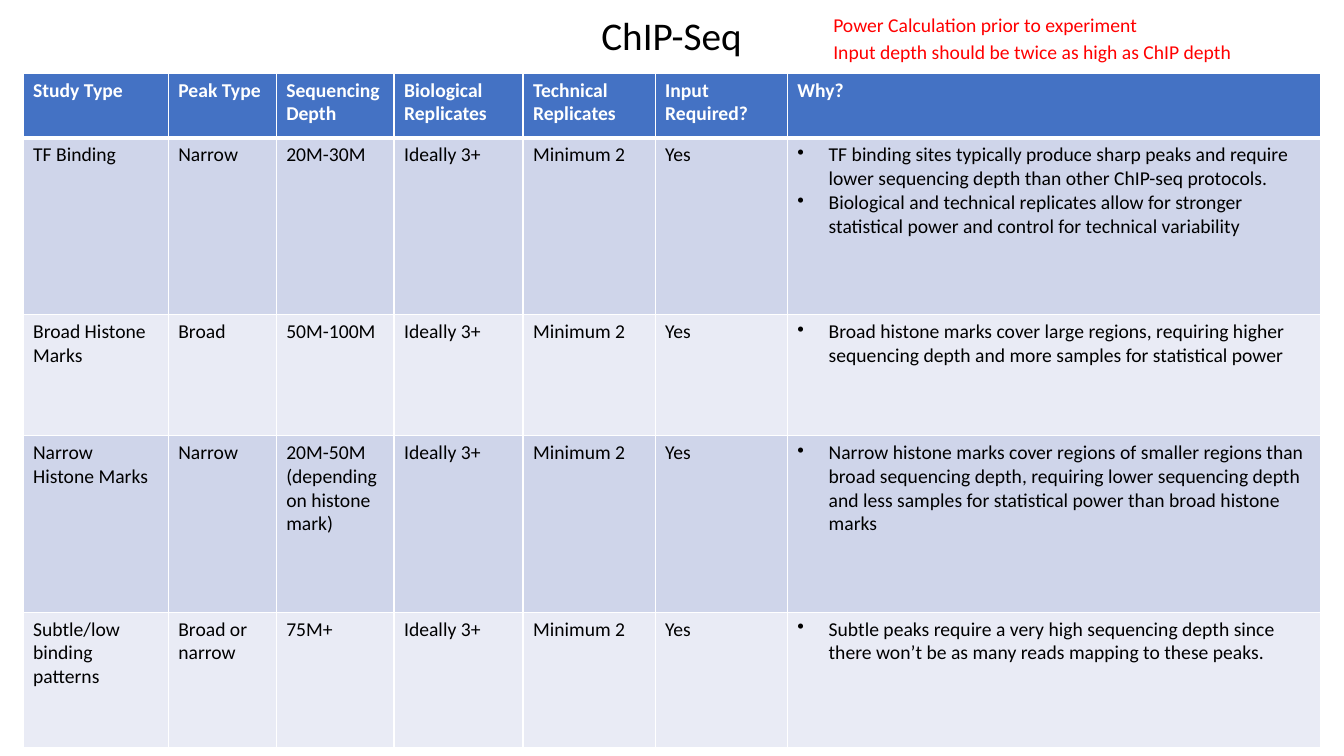
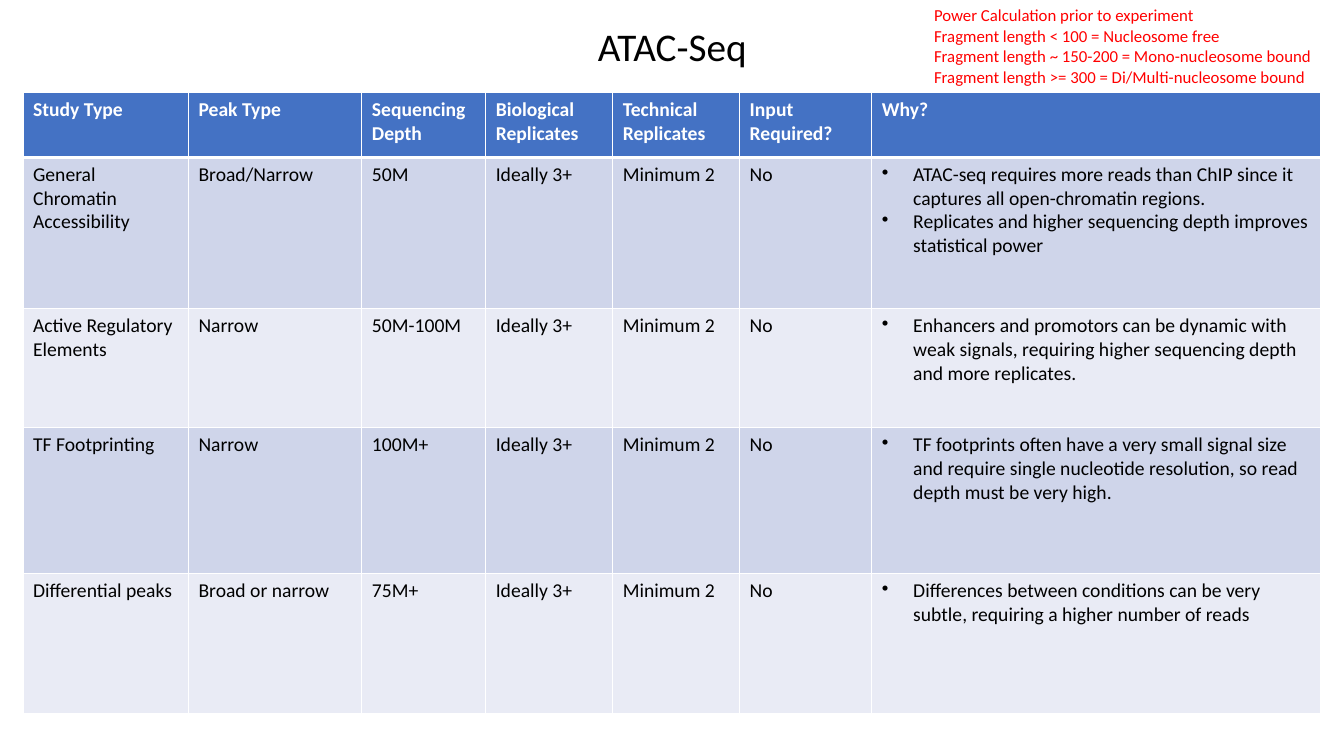
from dataclasses import dataclass

from lxml import etree
from pptx import Presentation
from pptx.dml.color import RGBColor
from pptx.enum.text import MSO_ANCHOR, MSO_AUTO_SIZE, PP_ALIGN
from pptx.oxml.ns import qn
from pptx.util import Cm, Pt

LEFT = PP_ALIGN.LEFT
CENTER = PP_ALIGN.CENTER
MIDDLE = MSO_ANCHOR.MIDDLE
NO_AUTOSIZE = MSO_AUTO_SIZE.NONE
GROW = MSO_AUTO_SIZE.SHAPE_TO_FIT_TEXT
TITLE_ONLY = 5


@dataclass(frozen=True)
class Theme:
    font: str = "Calibri"
    ink: str = "000000"
    white: str = "FFFFFF"
    alert: str = "FF0000"
    header: str = "4472C4"
    bands: tuple = ("CFD5EA", "E9EBF5")
    title_size: int = 28
    body_size: int = 14
    small_size: int = 12
    thin_line: int = 1
    thick_line: int = 3


HEADINGS = ["Study Type", "Peak Type", "Sequencing Depth", "Biological Replicates",
            "Technical Replicates", "Input Required?", "Why?"]
TABLE_LEFT = 0.58
TABLE_WIDTH = 32.69
BULLET_INDENT = 0.79


class Deck:
    def __init__(self, theme):
        self.theme = theme
        self.presentation = Presentation()
        self.presentation.slide_width = Cm(33.87)
        self.presentation.slide_height = Cm(19.05)
        self.slide = None

    def add_slide(self):
        layout = self.presentation.slide_layouts[TITLE_ONLY]
        self.slide = self.presentation.slides.add_slide(layout)

    def style(self, paragraph, size, color, bold=False, alignment=LEFT):
        paragraph.alignment = alignment
        font = paragraph.font
        font.name = self.theme.font
        font.size = Pt(size)
        font.bold = bold
        font.color.rgb = RGBColor.from_string(color)

    def title(self, text, left, top, width):
        shape = self.slide.shapes.title
        shape.left, shape.top, shape.width, shape.height = Cm(left), Cm(top), Cm(width), Cm(1.45)
        frame = shape.text_frame
        frame.text = text
        frame.word_wrap = False
        frame.auto_size = NO_AUTOSIZE
        frame.vertical_anchor = MIDDLE
        self.style(frame.paragraphs[0], self.theme.title_size, self.theme.ink, alignment=CENTER)

    def note(self, lines, left, top, width, height, size):
        shape = self.slide.shapes.add_textbox(Cm(left), Cm(top), Cm(width), Cm(height))
        frame = shape.text_frame
        frame.text = "\n".join(lines)
        frame.word_wrap = False
        frame.auto_size = GROW
        for paragraph in frame.paragraphs:
            self.style(paragraph, size, self.theme.alert)

    def borders(self, cell, row_index):
        properties = cell._tc.get_or_add_tcPr()
        thick_sides = {0: "lnB", 1: "lnT"}
        for side in ("lnL", "lnR", "lnT", "lnB"):
            thick = thick_sides.get(row_index) == side
            width = self.theme.thick_line if thick else self.theme.thin_line
            line = etree.SubElement(properties, qn(f"a:{side}"), w=str(Pt(width)))
            fill = etree.SubElement(line, qn("a:solidFill"))
            etree.SubElement(fill, qn("a:srgbClr"), val=self.theme.white)

    def bullet(self, paragraph):
        properties = paragraph._p.get_or_add_pPr()
        properties.set("marL", str(Cm(BULLET_INDENT)))
        properties.set("indent", str(-Cm(BULLET_INDENT)))
        etree.SubElement(properties, qn("a:buChar"), char="•")

    def cell(self, cell, content, row_index):
        theme = self.theme
        is_header = row_index == 0
        is_list = isinstance(content, list)
        self.borders(cell, row_index)
        cell.fill.solid()
        fill = theme.header if is_header else theme.bands[(row_index - 1) % 2]
        cell.fill.fore_color.rgb = RGBColor.from_string(fill)
        cell.text = "\n".join(content) if is_list else content
        for paragraph in cell.text_frame.paragraphs:
            if is_list:
                self.bullet(paragraph)
            color = theme.white if is_header else theme.ink
            self.style(paragraph, theme.body_size, color, is_header)

    def study_table(self, top, column_widths, row_heights, input_required, studies):
        widths = column_widths + [TABLE_WIDTH - sum(column_widths)]
        rows = [HEADINGS] + [
            [study, peak, depth, "Ideally 3+", "Minimum 2", input_required, reasons]
            for study, peak, depth, reasons in studies
        ]
        frame = self.slide.shapes.add_table(
            len(rows), len(widths), Cm(TABLE_LEFT), Cm(top), Cm(TABLE_WIDTH), Cm(sum(row_heights)))
        table = frame.table
        table.horz_banding = False
        for column, width in zip(table.columns, widths):
            column.width = Cm(width)
        for row_index, (row, height) in enumerate(zip(table.rows, row_heights)):
            row.height = Cm(height)
            for cell, content in zip(row.cells, rows[row_index]):
                self.cell(cell, content, row_index)


def chip_slide(deck):
    deck.add_slide()
    deck.study_table(
        1.85, [3.66, 2.72, 2.97, 3.25, 3.33, 3.33], [1.63, 4.45, 3.05, 4.45, 3.4], "Yes", [
            ("TF Binding", "Narrow", "20M-30M", [
                "TF binding sites typically produce sharp peaks and require lower sequencing "
                "depth than other ChIP-seq protocols.",
                "Biological and technical replicates allow for stronger statistical power and "
                "control for technical variability"]),
            ("Broad Histone Marks", "Broad", "50M-100M", [
                "Broad histone marks cover large regions, requiring higher sequencing depth and "
                "more samples for statistical power"]),
            ("Narrow Histone Marks", "Narrow", "20M-50M (depending on histone mark)", [
                "Narrow histone marks cover regions of smaller regions than broad sequencing "
                "depth, requiring lower sequencing depth and less samples for statistical power "
                "than broad histone marks"]),
            ("Subtle/low binding patterns", "Broad or narrow", "75M+", [
                "Subtle peaks require a very high sequencing depth since there won’t be as many "
                "reads mapping to these peaks."]),
        ])
    deck.title("ChIP-Seq", 14.88, 0.15, 4.09)
    size = deck.theme.body_size
    deck.note(["Power Calculation prior to experiment"], 20.75, 0.2, 8.46, 0.86, size)
    deck.note(["Input depth should be twice as high as ChIP depth"], 20.75, 0.89, 10.64, 0.86, size)


def atac_slide(deck):
    deck.add_slide()
    deck.study_table(
        2.34, [4.17, 4.37, 3.12, 3.2, 3.2, 3.33], [1.63, 3.81, 3, 3.68, 3.53], "No", [
            ("General Chromatin Accessibility", "Broad/Narrow", "50M", [
                "ATAC-seq requires more reads than ChIP since it captures all open-chromatin "
                "regions.",
                "Replicates and higher sequencing depth improves statistical power"]),
            ("Active Regulatory Elements", "Narrow", "50M-100M", [
                "Enhancers and promotors can be dynamic with weak signals, requiring higher "
                "sequencing depth and more replicates."]),
            ("TF Footprinting", "Narrow", "100M+", [
                "TF footprints often have a very small signal size and require single nucleotide "
                "resolution, so read depth must be very high."]),
            ("Differential peaks", "Broad or narrow", "75M+", [
                "Differences between conditions can be very subtle, requiring a higher number "
                "of reads"]),
        ])
    deck.title("ATAC-Seq", 14.78, 0.43, 4.32)
    size = deck.theme.small_size
    deck.note(["Power Calculation prior to experiment"], 23.29, 0, 7.14, 0.76, size)
    deck.note([
        "Fragment length < 100 = Nucleosome free",
        "Fragment length ~ 150-200 = Mono-nucleosome bound",
        "Fragment length >= 300 = Di/Multi-nucleosome bound",
    ], 23.29, 0.53, 10.21, 1.8, size)


def main():
    deck = Deck(Theme())
    chip_slide(deck)
    atac_slide(deck)
    deck.presentation.save("out.pptx")


if __name__ == "__main__":
    main()
